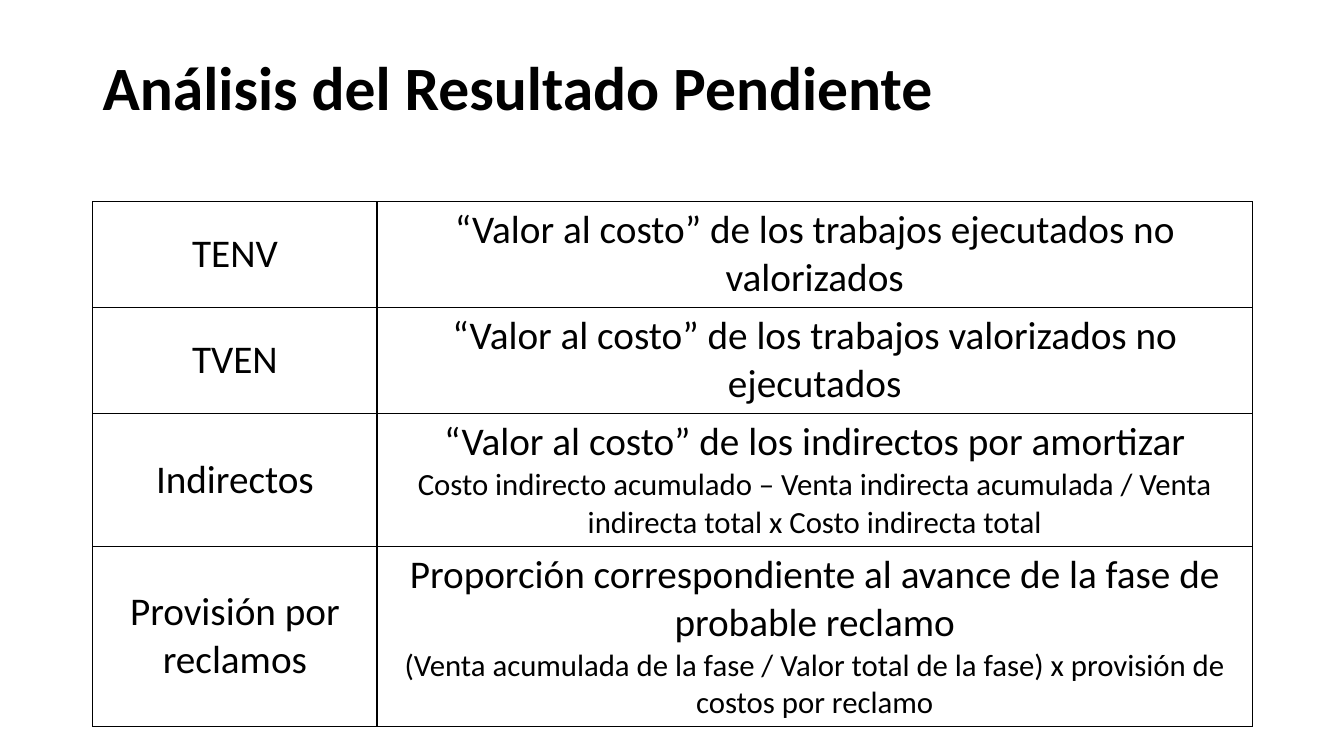
from dataclasses import dataclass

from lxml import etree
from pptx import Presentation
from pptx import util as u
from pptx.dml.color import RGBColor
from pptx.enum import text
from pptx.oxml.ns import qn

FONT = "Calibri"
HUES = {"ink": "000000"}
INK = RGBColor.from_string(HUES["ink"])


@dataclass
class Row:
    term: str
    value: str
    high: float
    detail: str = ""


ROWS = [
    Row("TENV", "“Valor al costo” de los trabajos ejecutados no valorizados", 1.05),
    Row("TVEN", "“Valor al costo” de los trabajos valorizados no ejecutados", 1.05),
    Row("Indirectos", "“Valor al costo” de los indirectos por amortizar", 1.32,
        "Costo indirecto acumulado – Venta indirecta acumulada / "
        "Venta indirecta total x Costo indirecta total"),
    Row("Provisión por reclamos",
        "Proporción correspondiente al avance de la fase de probable reclamo", 1.79,
        "(Venta acumulada de la fase / Valor total de la fase) x "
        "provisión de costos por reclamo"),
]
WIDTHS = [2.82, 8.68]


def style(para, size: int, bold: bool = False) -> None:
    font = para.font
    font.name = FONT
    font.size = u.Pt(size)
    font.bold = bold
    font.color.rgb = INK


def border(cell) -> None:
    props = cell._tc.get_or_add_tcPr()
    for side in ("a:lnL", "a:lnR", "a:lnT", "a:lnB"):
        line = etree.SubElement(props, qn(side), w=str(u.Pt(1)))
        fill = etree.SubElement(line, qn("a:solidFill"))
        etree.SubElement(fill, qn("a:srgbClr"), val=HUES["ink"])


def write(cell, main: str, detail: str = "") -> None:
    border(cell)
    cell.fill.background()
    cell.vertical_anchor = text.MSO_ANCHOR.MIDDLE
    frame = cell.text_frame
    frame.text = f"{main}\n{detail}" if detail else main
    for para, size in zip(frame.paragraphs, (28, 22)):
        para.alignment = text.PP_ALIGN.CENTER
        style(para, size)


def title(slide, words: str) -> None:
    box = slide.shapes.add_textbox(
        u.Inches(0.92), u.Inches(0.4), u.Inches(9.48), u.Inches(1))
    frame = box.text_frame
    frame.word_wrap = True
    frame.vertical_anchor = text.MSO_ANCHOR.MIDDLE
    para = frame.paragraphs[0]
    para.text = words
    para.line_spacing = 0.9
    style(para, 44, True)


def grid(slide) -> None:
    high = sum(row.high for row in ROWS)
    table = slide.shapes.add_table(
        len(ROWS), len(WIDTHS), u.Inches(0.92), u.Inches(2),
        u.Inches(sum(WIDTHS)), u.Inches(high)).table
    table.first_row = False
    table.horz_banding = False
    for col, width in zip(table.columns, WIDTHS):
        col.width = u.Inches(width)
    for line, row in zip(table.rows, ROWS):
        line.height = u.Inches(row.high)
        write(line.cells[0], row.term)
        write(line.cells[1], row.value, row.detail)


def main() -> None:
    deck = Presentation()
    deck.slide_width = u.Inches(13.33)
    deck.slide_height = u.Inches(7.5)
    slide = deck.slides.add_slide(deck.slide_layouts[6])
    title(slide, "Análisis del Resultado Pendiente")
    grid(slide)
    deck.save("out.pptx")


if __name__ == "__main__":
    main()
